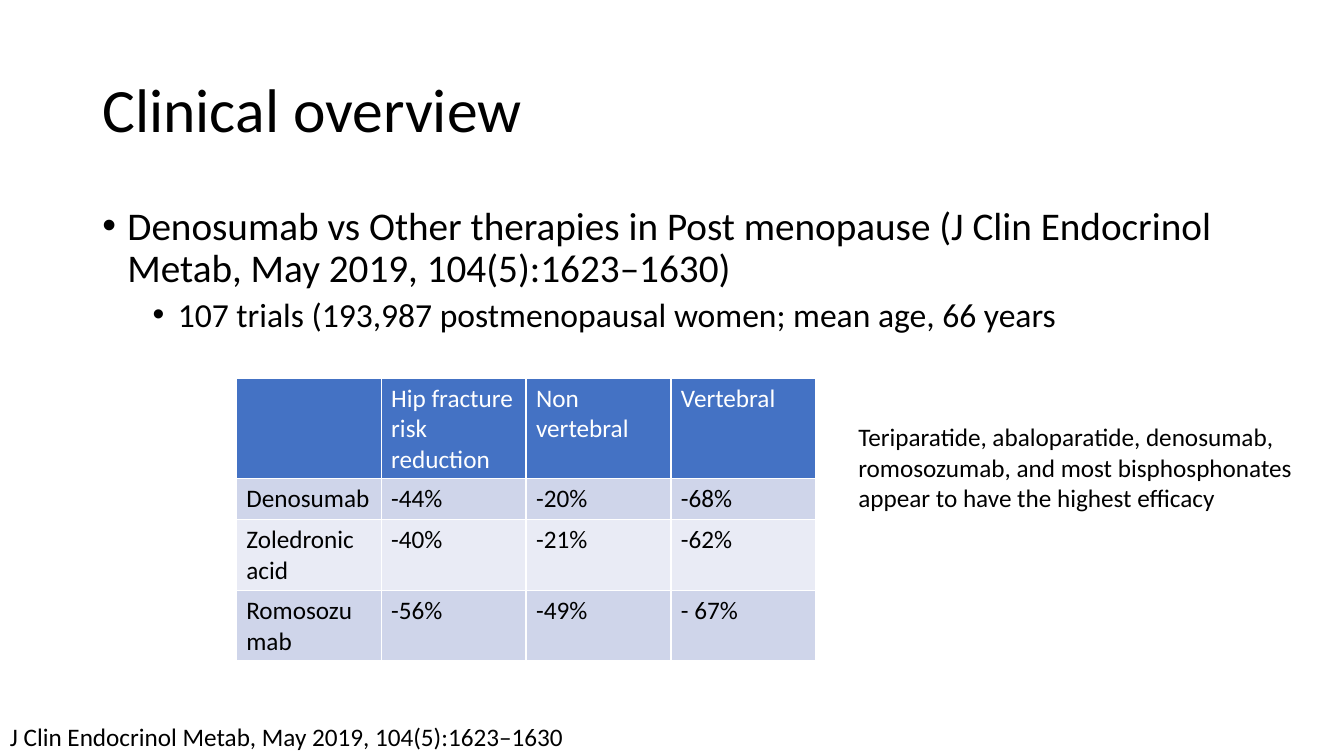
from lxml.etree import SubElement
from pptx import Presentation
from pptx.dml.color import RGBColor
from pptx.enum.text import MSO_ANCHOR as Anchor, MSO_AUTO_SIZE as AutoSize, PP_ALIGN as Align
from pptx.oxml.ns import qn
from pptx.util import Pt

PX = 9525  # EMU per px, 96 px to the inch
COLORS = {"text": "000000", "header": "4472C4", "header_text": "FFFFFF",
          "band_dark": "CFD5EA", "band_light": "E9EBF5"}
FONT = "Calibri"


def format_text(paragraph, size, color="text", **formats):
    values = {"name": FONT, "size": Pt(size), "bold": False}
    for name, value in values.items():
        setattr(paragraph.font, name, value)
    paragraph.font.color.rgb = RGBColor.from_string(COLORS[color])
    for name, value in formats.items():
        setattr(paragraph, name, value)


def add_text_frame(slide, *box):
    shape = slide.shapes.add_textbox(*(value * PX for value in box))
    shape.text_frame.word_wrap = True
    return shape.text_frame


presentation = Presentation()
presentation.slide_width = 1280 * PX
presentation.slide_height = 720 * PX
slide = presentation.slides.add_slide(presentation.slide_layouts[5])

# Title
title = slide.shapes.title
title_box = {"left": 88, "top": 38, "width": 1104, "height": 139}
for name, value in title_box.items():
    setattr(title, name, value * PX)
title_frame = title.text_frame
title_frame.text = "Clinical overview"
title_frame.auto_size = AutoSize.NONE
title_frame.vertical_anchor = Anchor.MIDDLE
format_text(title_frame.paragraphs[0], 44, alignment=Align.LEFT, line_spacing=0.9)

# Bulleted trial summary: text, level, size, left margin, space before
bullets = [
    ("Denosumab vs Other therapies in Post menopause (J Clin Endocrinol Metab, "
     "May 2019, 104(5):1623–1630)", 0, 28, 24, 0),
    ("107 trials (193,987 postmenopausal women; mean age, 66 years", 1, 24, 72, 5),
]
body_frame = add_text_frame(slide, 88, 192, 1104, 457)
for index, (text, level, size, margin, space) in enumerate(bullets):
    paragraph = body_frame.add_paragraph() if index else body_frame.paragraphs[0]
    paragraph.text = text
    properties = paragraph._p.get_or_add_pPr()
    properties.set("marL", str(margin * PX))
    properties.set("indent", str(-24 * PX))
    SubElement(properties, qn("a:buFont"), typeface="Arial")
    SubElement(properties, qn("a:buChar"), char="•")
    format_text(paragraph, size, level=level, line_spacing=0.9, space_before=Pt(space))

# Fracture risk table
rows = [
    ("", "Hip fracture risk reduction", "Non vertebral", "Vertebral"),
    ("Denosumab", "-44%", "-20%", "-68%"),
    ("Zoledronic acid", "-40%", "-21%", "-62%"),
    ("Romosozumab", "-56%", "-49%", "- 67%"),
]
row_fills = ["header", "band_dark", "band_light", "band_dark"]
table = slide.shapes.add_table(len(rows), len(rows[0]), 225 * PX, 360 * PX,
                               552 * PX, 156 * PX).table
for row_index, (row, fill) in enumerate(zip(rows, row_fills)):
    for column_index, text in enumerate(row):
        cell = table.cell(row_index, column_index)
        cell.text = text
        cell.fill.solid()
        cell.fill.fore_color.rgb = RGBColor.from_string(COLORS[fill])
        format_text(cell.text_frame.paragraphs[0], 18,
                    "header_text" if fill == "header" else "text")

# Conclusion and citation
notes = [
    ("Teriparatide, abaloparatide, denosumab, romosozumab, and most bisphosphonates "
     "appear to have the highest efficacy", (808, 397, 447, 97)),
    ("J Clin Endocrinol Metab, May 2019, 104(5):1623–1630", (0, 682, 640, 38)),
]
for text, box in notes:
    paragraph = add_text_frame(slide, *box).paragraphs[0]
    paragraph.text = text
    format_text(paragraph, 18)

presentation.save("out.pptx")
